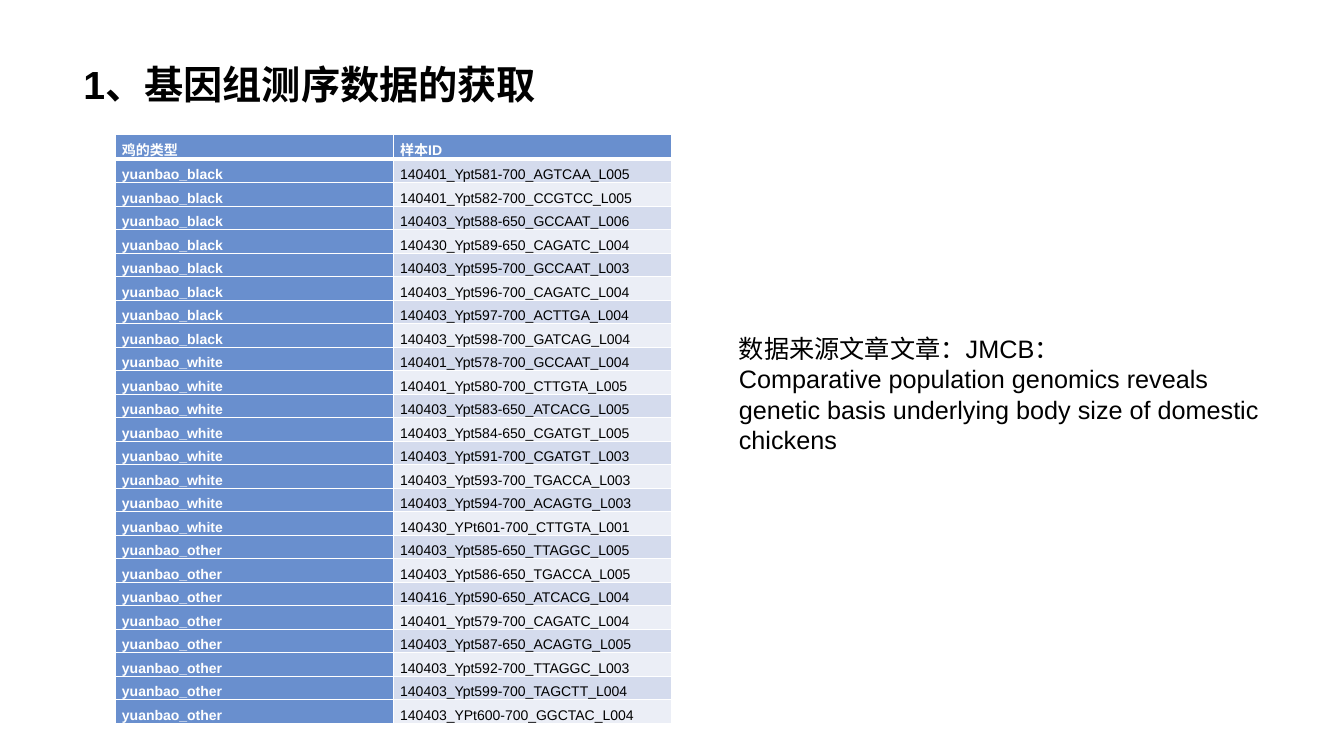
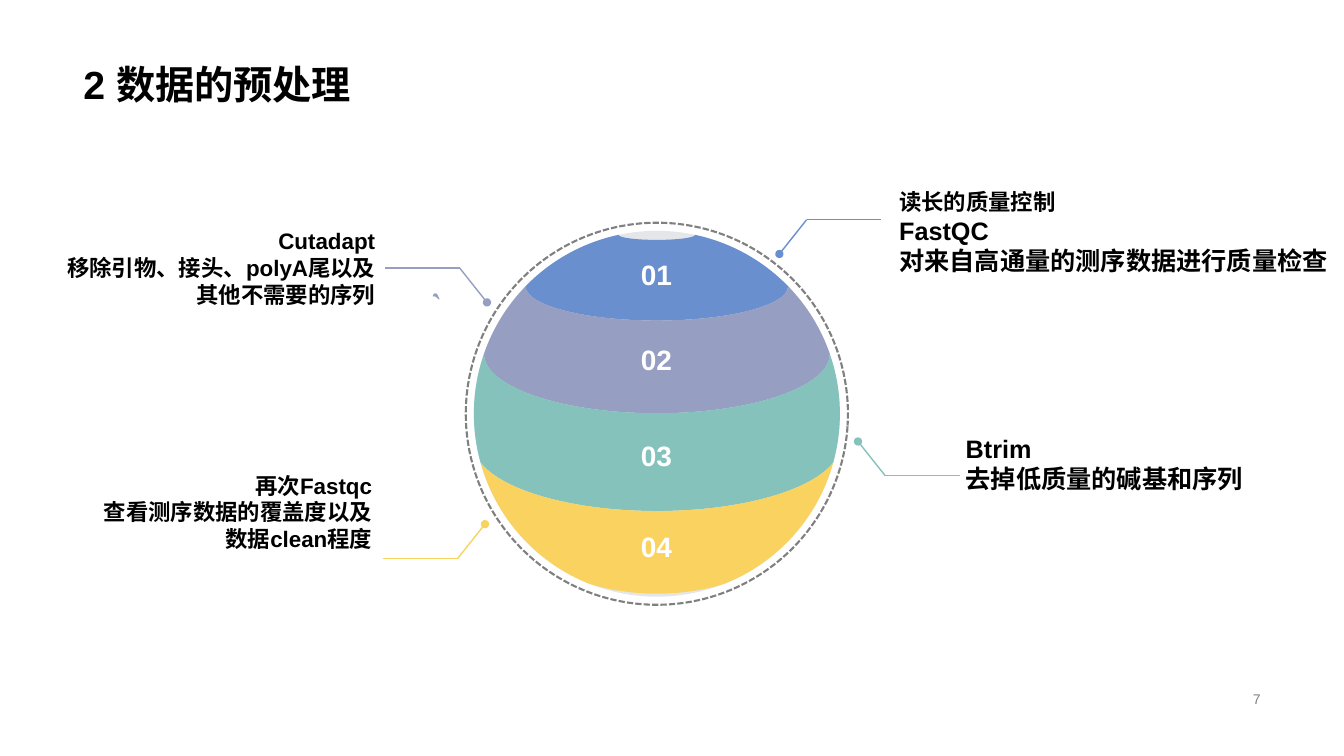
from collections import namedtuple
from dataclasses import dataclass
from math import asin, cos, pi, radians, sin, sqrt, tan

from lxml import etree
from pptx import Presentation
from pptx.dml.color import RGBColor
from pptx.enum.dml import MSO_LINE
from pptx.enum.shapes import MSO_CONNECTOR, MSO_SHAPE
from pptx.enum.text import MSO_ANCHOR as ANCHOR, PP_ALIGN as ALIGN
from pptx.oxml.ns import qn
from pptx.util import Inches, Pt

Box = namedtuple("Box", "left top width height")
Seam = namedtuple("Seam", "depth drop sweep")
Callout = namedtuple("Callout", "box color leader side slope align lines")


@dataclass(frozen=True)
class Theme:
    """Colours, font and type sizes shared by the slides."""
    font: str = "Arial"
    black: str = "000000"
    white: str = "FFFFFF"
    gray: str = "808080"
    pale: str = "E4E6EA"
    blue: str = "698FCE"
    lilac: str = "969EC2"
    teal: str = "85C2BC"
    yellow: str = "FAD25F"
    bands: tuple = ("D4DBED", "EBEEF6")
    title: int = 28
    number: int = 20
    body: int = 18
    note: int = 16
    small: int = 10


THEME = Theme()
TITLE_BOX = Box(0.73, 0, 11.87, 1.12)

SAMPLES = {
    "yuanbao_black": (
        "140401_Ypt581-700_AGTCAA_L005", "140401_Ypt582-700_CCGTCC_L005",
        "140403_Ypt588-650_GCCAAT_L006", "140430_Ypt589-650_CAGATC_L004",
        "140403_Ypt595-700_GCCAAT_L003", "140403_Ypt596-700_CAGATC_L004",
        "140403_Ypt597-700_ACTTGA_L004", "140403_Ypt598-700_GATCAG_L004"),
    "yuanbao_white": (
        "140401_Ypt578-700_GCCAAT_L004", "140401_Ypt580-700_CTTGTA_L005",
        "140403_Ypt583-650_ATCACG_L005", "140403_Ypt584-650_CGATGT_L005",
        "140403_Ypt591-700_CGATGT_L003", "140403_Ypt593-700_TGACCA_L003",
        "140403_Ypt594-700_ACAGTG_L003", "140430_YPt601-700_CTTGTA_L001"),
    "yuanbao_other": (
        "140403_Ypt585-650_TTAGGC_L005", "140403_Ypt586-650_TGACCA_L005",
        "140416_Ypt590-650_ATCACG_L004", "140401_Ypt579-700_CAGATC_L004",
        "140403_Ypt587-650_ACAGTG_L005", "140403_Ypt592-700_TTAGGC_L003",
        "140403_Ypt599-700_TAGCTT_L004", "140403_YPt600-700_GGCTAC_L004"),
}

SEAMS = (Seam(0.04, 0.05, 90), Seam(0.55, 0.34, 90), Seam(1.22, 0.59, 90),
         Seam(2.3, 0.48, 74), Seam(3.5, 0.1, 30))
LAYERS = ((THEME.blue, "01", 0.43), (THEME.lilac, "02", 1.27),
          (THEME.teal, "03", 2.23), (THEME.yellow, "04", 3.13))
FLECK = ((4.3, 2.92),
         (4.3, 2.93), (4.29, 2.94), (4.29, 2.94),
         (4.31, 2.94), (4.33, 2.94), (4.34, 2.96),
         (4.34, 2.97), (4.35, 2.97), (4.36, 2.97),
         (4.35, 2.95), (4.34, 2.91), (4.32, 2.91),
         (4.31, 2.91), (4.3, 2.92), (4.3, 2.92))

CALLOUTS = (
    Callout(Box(8.82, 1.8, 4.45, 1), THEME.blue, (8.74, 2.18), -1, 1, ALIGN.LEFT,
            (("读长的质量控制", THEME.note), ("FastQC", THEME.body),
             ("对来自高通量的测序数据进行质量检查", THEME.body))),
    Callout(Box(0.32, 1.87, 3.5, 1.57), THEME.lilac, (3.82, 2.66), 1, 1, ALIGN.RIGHT,
            (("Cutadapt", THEME.note), ("移除引物、接头、polyA尾以及", THEME.note),
             ("其他不需要的序列", THEME.note))),
    Callout(Box(9.48, 4.25, 3.06, 0.7), THEME.teal, (9.52, 4.72), -1, -1, ALIGN.LEFT,
            (("Btrim", THEME.body), ("去掉低质量的碱基和序列", THEME.body))),
    Callout(Box(0.73, 4.45, 3.06, 1.26), THEME.yellow, (3.8, 5.54), 1, -1, ALIGN.RIGHT,
            (("再次Fastqc", THEME.note), ("查看测序数据的覆盖度以及", THEME.note),
             ("数据clean程度", THEME.note))),
)


def rgb(color):
    """Turn a hex string into a colour."""
    return RGBColor.from_string(color)


def emu(values):
    """Turn lengths in inches into slide units."""
    return [Inches(value) for value in values]


def style(paragraph, size, color, bold):
    """Format every run of a paragraph."""
    for run in paragraph.runs:
        run.font.name = THEME.font
        run.font.size = Pt(size)
        run.font.bold = bold
        run.font.color.rgb = rgb(color)


def add_text(slide, box, lines, color=THEME.black, bold=False,
             align=ALIGN.LEFT, anchor=ANCHOR.MIDDLE, wrap=True, spacing=None):
    """Place lines of (text, size) in a box."""
    frame = slide.shapes.add_textbox(*emu(box)).text_frame
    frame.word_wrap = wrap
    frame.vertical_anchor = anchor
    frame.text = "\n".join(text for text, _ in lines)
    for paragraph, (_, size) in zip(frame.paragraphs, lines):
        paragraph.alignment = align
        paragraph.line_spacing = spacing
        style(paragraph, size, color, bold)


def add_title(slide, title):
    """Place the slide title."""
    add_text(slide, TITLE_BOX, [(title, THEME.title)], bold=True,
             anchor=ANCHOR.BOTTOM, spacing=0.9)


def paint(shape, color):
    """Give a shape a flat fill without line or shadow."""
    shape.shadow.inherit = False
    shape.fill.solid()
    shape.fill.fore_color.rgb = rgb(color)
    shape.line.fill.background()


def add_outline(slide, points, color):
    """Fill a closed outline: a start, then three points for each Bézier curve."""
    corners = [emu(point) for point in points]
    builder = slide.shapes.build_freeform(*corners[0])
    builder.add_line_segments(corners[1:], close=True)
    shape = builder.convert_to_shape()
    segments = list(shape._element.iter(qn("a:lnTo")))
    for curve, *others in zip(segments[::3], segments[1::3], segments[2::3]):
        curve.tag = qn("a:cubicBezTo")
        for other in others:
            curve.append(other[0])
            other.getparent().remove(other)
    paint(shape, color)


def add_line(slide, start, end, color, dot=False):
    """Draw a thin line, with a dot at its end if asked."""
    line = slide.shapes.add_connector(MSO_CONNECTOR.STRAIGHT, *emu(start + end))
    line.line.color.rgb = rgb(color)
    line.line.width = Pt(1)
    if dot:
        etree.SubElement(line.line._get_or_add_ln(), qn("a:tailEnd"), type="oval")
    etree.SubElement(line._element.spPr, qn("a:effectLst"))


def set_borders(cell, top, bottom):
    """Give a cell white borders, 1 point wide at the sides."""
    properties = cell._tc.get_or_add_tcPr()
    for side, width in (("L", 1), ("R", 1), ("T", top), ("B", bottom)):
        edge = etree.SubElement(properties, qn(f"a:ln{side}"), w=str(Pt(width)))
        fill = etree.SubElement(edge, qn("a:solidFill"))
        etree.SubElement(fill, qn("a:srgbClr"), val=THEME.white)


def add_sample_table(slide, box):
    """Place the table of chicken types and sample IDs."""
    rows = [("鸡的类型", "样本ID")]
    rows += [(kind, sample) for kind, samples in SAMPLES.items() for sample in samples]
    table = slide.shapes.add_table(len(rows), 2, *emu(box)).table
    table.horz_banding = False
    for index, texts in enumerate(rows):
        header = index == 0
        table.rows[index].height = Inches(0.21 if header else 0.22)
        for column, text in enumerate(texts):
            cell = table.cell(index, column)
            strong = header or column == 0
            set_borders(cell, 3 if index == 1 else 1, 3 if header else 1)
            cell.fill.solid()
            cell.fill.fore_color.rgb = rgb(THEME.blue if strong else THEME.bands[(index - 1) % 2])
            cell.margin_left = cell.margin_right = Inches(0.07)
            cell.margin_top = cell.margin_bottom = 0
            cell.vertical_anchor = ANCHOR.TOP if header else ANCHOR.MIDDLE
            cell.text_frame.text = text
            paragraph = cell.text_frame.paragraphs[0]
            paragraph.line_spacing = Pt(18 if header else 16.75)
            style(paragraph, THEME.small, THEME.white if strong else THEME.black, strong)


def arc(start, end, radius_x, radius_y, level=0, count=1):
    """List the Bézier points of an elliptical arc, without its first point."""
    step = (end - start) / count
    reach = 4 / 3 * tan(step / 4)
    points = []
    for index in range(count):
        first = start + index * step
        last = first + step
        points += [(cos(first) - reach * sin(first), sin(first) + reach * cos(first)),
                   (cos(last) + reach * sin(last), sin(last) - reach * cos(last)),
                   (cos(last), sin(last))]
    return [(radius_x * x, level + radius_y * y) for x, y in points]


def seam_arc(seam, radius, direction):
    """Trace a seam, rightwards for direction 1 and leftwards for -1."""
    sweep = radians(seam.sweep)
    height = seam.depth - radius
    radius_x = sqrt(radius ** 2 - height ** 2) / sin(sweep)
    radius_y = seam.drop / (1 - cos(sweep))
    return arc(pi / 2 + direction * sweep, pi / 2 - direction * sweep,
               radius_x, radius_y, height - radius_y * cos(sweep), 2)


def layer_outline(upper, lower, radius):
    """Trace a sphere layer between two seams, relative to the centre."""
    start, end = (asin(seam.depth / radius - 1) for seam in (upper, lower))
    count = 2 if start < 0 < end else 1
    return ([(-radius * cos(start), radius * sin(start))]
            + seam_arc(upper, radius, 1)
            + arc(start, end, radius, radius, count=count)
            + seam_arc(lower, radius, -1)
            + arc(pi - end, pi - start, radius, radius, count=count))


def add_sphere(slide, box):
    """Draw the numbered sphere of four layers and its dashed ring."""
    radius = box.width / 2
    center_x, center_y = box.left + radius, box.top + radius
    gap = 0.08
    ring = slide.shapes.add_shape(MSO_SHAPE.ARC, *emu(
        (box.left - gap, box.top - gap, box.width + 2 * gap, box.height + 2 * gap)))
    ring.adjustments[0], ring.adjustments[1] = 2.26, 2.15
    ring.shadow.inherit = False
    ring.fill.background()
    ring.line.color.rgb = rgb(THEME.gray)
    ring.line.width = Pt(1.5)
    ring.line.dash_style = MSO_LINE.SQUARE_DOT
    paint(slide.shapes.add_shape(MSO_SHAPE.OVAL, *emu(box)), THEME.pale)
    for (color, _, _), upper, lower in zip(LAYERS, SEAMS, SEAMS[1:]):
        outline = layer_outline(upper, lower, radius)
        add_outline(slide, [(center_x + x, center_y + y) for x, y in outline], color)
    for _, number, depth in LAYERS:
        label = Box(center_x - 0.55, box.top + depth - 0.3, 1.09, 0.6)
        add_text(slide, label, [(number, THEME.number)], THEME.white, True,
                 ALIGN.CENTER, wrap=False)


def add_callout(slide, callout):
    """Place a callout's text and its bent leader."""
    x, y = callout.leader
    knee = (x + callout.side * 0.74, y)
    dot = (knee[0] + callout.side * 0.27, y + callout.slope * 0.34)
    add_line(slide, callout.leader, knee, callout.color)
    add_line(slide, knee, dot, callout.color, dot=True)
    add_text(slide, callout.box, callout.lines, bold=True, align=callout.align, wrap=False)


def build_data_slide(slide):
    """Build the slide on obtaining the sequencing data."""
    add_title(slide, "1、基因组测序数据的获取")
    add_sample_table(slide, Box(1.14, 1.33, 5.52, 5.58))
    add_text(slide, Box(7.23, 3.26, 5.52, 1.31), [
        ("数据来源文章文章：JMCB：", THEME.body),
        ("Comparative population genomics reveals genetic basis underlying "
         "body size of domestic chickens", THEME.body)], anchor=ANCHOR.TOP)


def build_preprocessing_slide(slide):
    """Build the slide on preprocessing the data."""
    add_title(slide, "2 数据的预处理")
    add_text(slide, Box(9.42, 6.82, 3.18, 0.23), [("7", THEME.small)],
             THEME.gray, align=ALIGN.RIGHT)
    add_outline(slide, FLECK, THEME.lilac)
    add_sphere(slide, Box(4.7, 2.29, 3.63, 3.63))
    for callout in CALLOUTS:
        add_callout(slide, callout)


def main():
    """Build and save the presentation."""
    deck = Presentation()
    deck.slide_width, deck.slide_height = Inches(13.33), Inches(7.5)
    for build in (build_data_slide, build_preprocessing_slide):
        build(deck.slides.add_slide(deck.slide_layouts[6]))
    deck.save("out.pptx")


if __name__ == "__main__":
    main()
